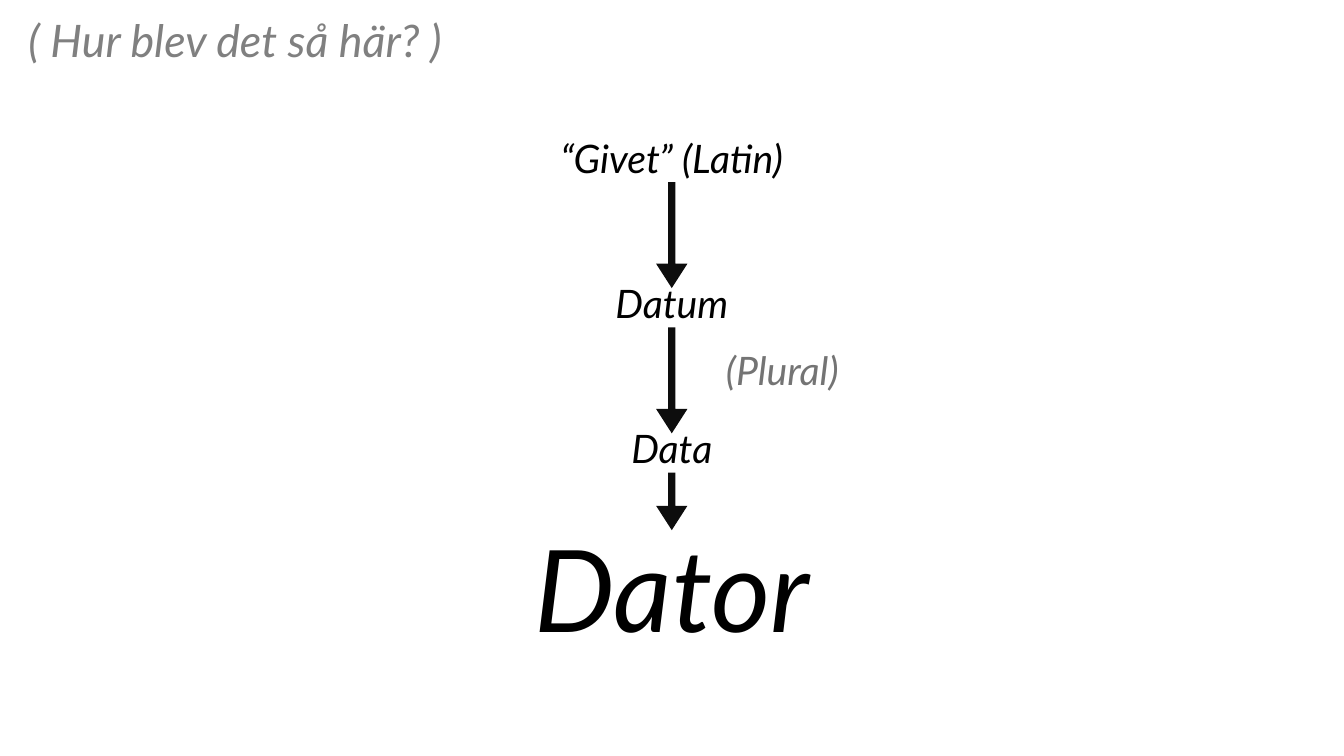
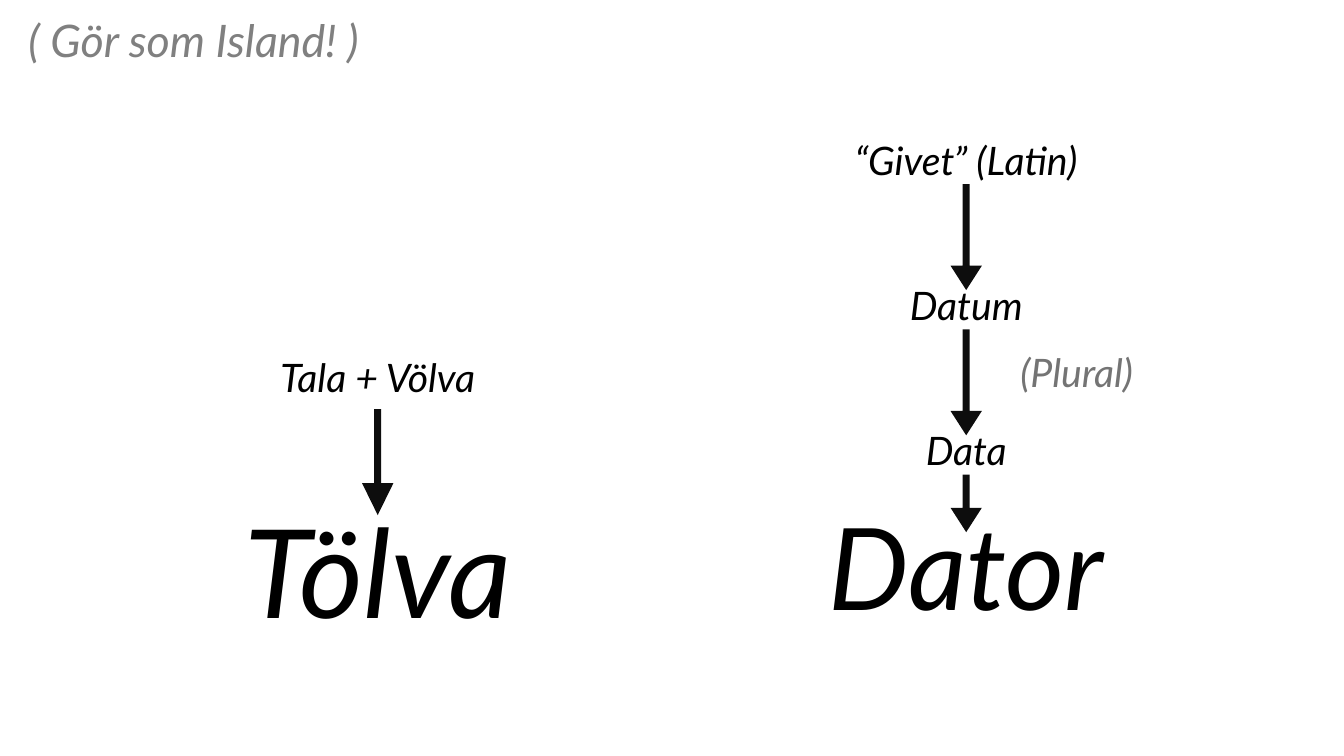
import pptx
import pptx.util
import pptx.dml.color
import pptx.enum.shapes
import pptx.enum.text

Cm = pptx.util.Cm
Pt = pptx.util.Pt
ALIGN = pptx.enum.text.PP_ALIGN
BLACK, DARK, GREY, PALE = "000000", "0D0D0D", "747474", "808080"
FONT = "Lato"


def paint(item, tone):
    item.rgb = pptx.dml.color.RGBColor.from_string(tone)


def write(shape, text, size, tone, align=ALIGN.CENTER, space=1.0):
    frame = shape.text_frame
    frame.word_wrap = True
    frame.auto_size = pptx.enum.text.MSO_AUTO_SIZE.NONE
    frame.text = text
    para = frame.paragraphs[0]
    para.alignment = align
    para.line_spacing = space
    font = para.runs[0].font
    font.name, font.size, font.italic = FONT, Pt(size), True
    paint(font.color, tone)
    return para


deck = pptx.Presentation()
deck.slide_width, deck.slide_height = Cm(33.87), Cm(19.05)

chain = [("“Givet” (Latin)", 2.67), ("Datum", 2.67), ("Data", 1.45)]
pages = [
    ("( Hur blev det så här? )", [(16.93, 3.25, chain, 0.776, "Dator", 81.4, 13.34)]),
    ("( Gör som Island! )", [
        (9.52, 8.79, [("Tala + Völva", 2.67)], 1.017, "Tölva", 88, 12.78),
        (24.35, 3.3, chain, 0.776, "Dator", 81.4, 12.78),
    ]),
]
step, wide, high = 3.66, 10.39, 1.45
tip = 0.79

for head, trees in pages:
    slide = deck.slides.add_slide(deck.slide_layouts[5])
    shapes = slide.shapes
    title = shapes.title
    title.left, title.top, title.width, title.height = Cm(0.46), Cm(0.3), Cm(12.57), Cm(1.57)
    write(title, head, 32, PALE, ALIGN.LEFT, 0.9)
    title.text_frame.vertical_anchor = pptx.enum.text.MSO_ANCHOR.MIDDLE

    for mid, top, words, point, goal, size, base in trees:
        box = shapes.add_textbox(Cm(mid - 3.86), Cm(base), Cm(7.72), Cm(4.45))
        write(box, goal, size, BLACK, space=0.9).space_before = Pt(10)

        gap = 1.34 if words is chain else 1.52
        for row, (word, drop) in enumerate(words):
            y = top + row * step
            box = shapes.add_textbox(Cm(mid - wide / 2), Cm(y), Cm(wide), Cm(high))
            write(box, word, 28, BLACK)
            arrow = shapes.add_shape(
                pptx.enum.shapes.MSO_SHAPE.DOWN_ARROW,
                Cm(mid - tip / 2), Cm(y + gap), Cm(tip), Cm(drop))
            arrow.adjustments[0], arrow.adjustments[1] = 0.224, point
            arrow.shadow.inherit = False
            arrow.fill.solid()
            paint(arrow.fill.fore_color, DARK)
            arrow.line.fill.background()

        if words is chain:
            box = shapes.add_textbox(Cm(mid + 0.65), Cm(top + 5.34), Cm(4.27), Cm(high))
            write(box, "(Plural)", 28, GREY)

deck.save("out.pptx")
